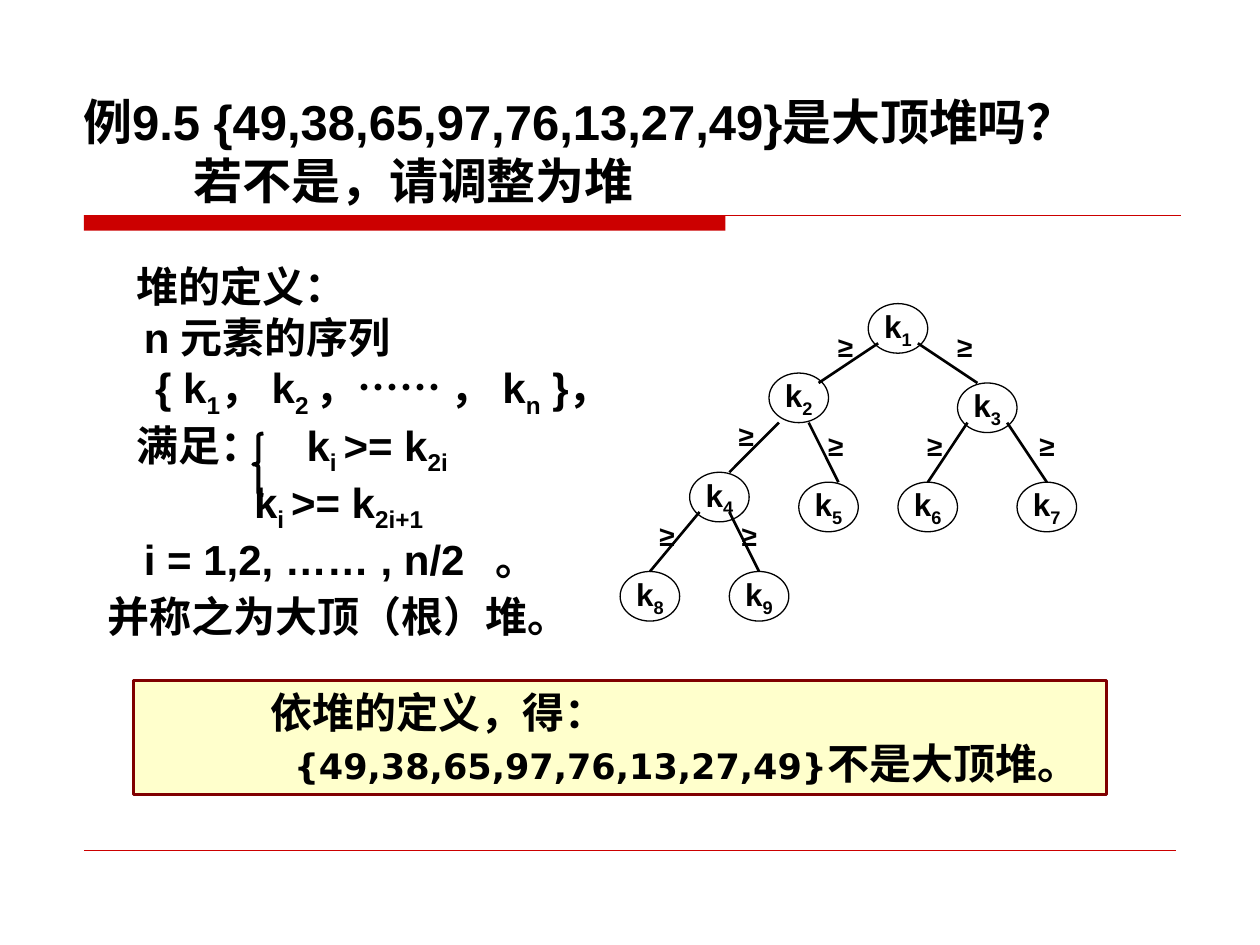
from lxml import etree
from pptx import Presentation
from pptx.dml.color import RGBColor
from pptx.enum.shapes import MSO_CONNECTOR, MSO_SHAPE
from pptx.enum.text import MSO_ANCHOR, MSO_AUTO_SIZE, PP_ALIGN
from pptx.oxml.ns import qn
from pptx.util import Pt

STRAIGHT = MSO_CONNECTOR.STRAIGHT
ELLIPSE = MSO_SHAPE.OVAL
RECTANGLE = MSO_SHAPE.RECTANGLE
LEFT_BRACE = MSO_SHAPE.LEFT_BRACE
TOP = MSO_ANCHOR.TOP
MIDDLE = MSO_ANCHOR.MIDDLE
LEFT = PP_ALIGN.LEFT
CENTER = PP_ALIGN.CENTER
NO_FIT = MSO_AUTO_SIZE.NONE

COLORS = {
    "text": "000000",
    "node": "FFFFFF",
    "accent": "CC0000",
    "answer": "FFFFCC",
    "answer_edge": "800000",
}

STEP = 5.67
TREE_LEFT, TREE_TOP = 354.4, 173.5
NODES = [(25, 0), (15, 7), (34, 8), (7, 17), (18, 18),
         (28, 18), (40, 18), (0, 27), (11, 27)]
EDGES = [
    ((26, 4), (20, 8), (20.7, 2)),
    ((30, 4), (36, 8), (32.7, 2)),
    ((16, 12), (11, 17), (10.7, 11)),
    ((19, 12), (22, 18), (19.7, 12)),
    ((35, 12), (31, 18), (29.7, 12)),
    ((39, 12), (43, 18), (41, 12)),
    ((8, 21), (3, 27), (2.7, 21)),
    ((11, 21), (14, 27), (11, 21)),
]

TITLE = [("例9.5 {49,38,65,97,76,13,27,49}是大顶堆吗？", 0),
         ("若不是，请调整为堆", 63)]
DEFINITION = [
    ("堆的定义：", 119, None),
    ("n\t元素的序列", 123, 157),
    ("{ k_1_， k_2 _，…… ， k_n_ }，", 129.5, None),
    ("满足：\tk_i _>= k_2i", 119, 206.5),
    ("k_i _>= k_2i+1", 186, None),
    ("i = 1,2, …… , n/2\t。", 123, 326.5),
    ("并称之为大顶（根）堆。", 102, None),
]


def rgb(name):
    return RGBColor.from_string(COLORS[name])


def grid(x, y):
    return TREE_LEFT + x * STEP, TREE_TOP + y * STEP


def place(shape, left, top, width, height):
    shape.left, shape.top = Pt(left), Pt(top)
    shape.width, shape.height = Pt(width), Pt(height)


def set_frame(shape, anchor=TOP, wrap=True):
    frame = shape.text_frame
    frame.auto_size = NO_FIT
    frame.word_wrap = wrap
    frame.vertical_anchor = anchor
    return frame


def format_run(run, size, font="Arial"):
    run.font.name = font
    run.font.size = Pt(size)
    run.font.bold = True
    run.font.color.rgb = rgb("text")


def write(paragraph, text, size, indent=0, tab=None, align=LEFT):
    props = paragraph._p.get_or_add_pPr()
    props.set("marL", "0")
    props.set("indent", str(Pt(indent)))
    etree.SubElement(props, qn("a:buNone"))
    if tab:
        stops = etree.SubElement(props, qn("a:tabLst"))
        etree.SubElement(stops, qn("a:tab"), pos=str(Pt(tab)), algn="l")
    paragraph.alignment = align
    paragraph.space_before = Pt(0)
    for index, part in enumerate(text.split("_")):
        if part:
            run = paragraph.add_run()
            run.text = part
            format_run(run, size)
            if index % 2:
                run._r.get_or_add_rPr().set("baseline", "-25000")


def next_paragraph(frame, index):
    return frame.add_paragraph() if index else frame.paragraphs[0]


def add_line(slide, start, end, color, weight):
    line = slide.shapes.add_connector(STRAIGHT, *map(Pt, (*start, *end)))
    line.line.color.rgb = rgb(color)
    line.line.width = Pt(weight)
    etree.SubElement(line._element.spPr, qn("a:effectLst"))


def add_figure(slide, preset, box, fill, edge, weight=0):
    figure = slide.shapes.add_shape(preset, *map(Pt, box))
    figure.shadow.inherit = False
    if fill:
        figure.fill.solid()
        figure.fill.fore_color.rgb = rgb(fill)
    else:
        figure.fill.background()
    if edge:
        figure.line.color.rgb = rgb(edge)
        figure.line.width = Pt(weight)
    else:
        figure.line.fill.background()
    return figure


def add_rules(slide):
    add_figure(slide, RECTANGLE, (48, 123, 366.5, 8.8), "accent", None)
    add_line(slide, (48, 123), (674.6, 123), "accent", 0.75)
    add_line(slide, (48, 486), (672, 486), "accent", 0.25)


def add_title(slide):
    title = slide.shapes.title
    place(title, 40.3, 49, 620, 74)
    frame = set_frame(title, MIDDLE)
    for index, (text, indent) in enumerate(TITLE):
        write(next_paragraph(frame, index), text, 28, indent)


def add_definition(slide):
    definition = slide.placeholders[1]
    place(definition, -48, 145.5, 702, 229)
    frame = set_frame(definition)
    for index, (text, indent, tab) in enumerate(DEFINITION):
        write(next_paragraph(frame, index), text, 24, indent, tab)
    frame.paragraphs[-1].space_before = Pt(3.5)
    brace = add_figure(slide, LEFT_BRACE, (144.7, 247.7, 5.8, 35.3), None, "text", 2.25)
    brace.adjustments[0] = 0.25


def add_node(slide, number, position):
    box = (*grid(*position), 6 * STEP, 5 * STEP)
    node = add_figure(slide, ELLIPSE, box, "node", "text", 0.75)
    frame = set_frame(node, MIDDLE, wrap=False)
    write(frame.paragraphs[0], f"k_{number}", 18, align=CENTER)


def add_relation(slide, position):
    left, top = grid(*position)
    relation = slide.shapes.add_textbox(Pt(left), Pt(top), Pt(23.2), Pt(26.6))
    write(set_frame(relation, wrap=False).paragraphs[0], "≥", 16)


def add_tree(slide):
    for number, position in enumerate(NODES, 1):
        add_node(slide, number, position)
    for start, end, _ in EDGES:
        add_line(slide, grid(*start), grid(*end), "text", 1.5)
    for _, _, position in EDGES:
        add_relation(slide, position)


def add_answer(slide):
    answer = add_figure(slide, RECTANGLE, (76.3, 388.8, 555.8, 65),
                        "answer", "answer_edge", 1.75)
    frame = set_frame(answer)
    write(frame.paragraphs[0], "依堆的定义，得：", 24, 71.3)
    conclusion = frame.add_paragraph()
    write(conclusion, "{49,38,65,97,76,13,27,49}", 20, 84.6)
    format_run(conclusion.runs[0], 20, "DejaVu Sans")
    verdict = conclusion.add_run()
    verdict.text = "不是大顶堆。"
    format_run(verdict, 24)


def main():
    deck = Presentation()
    deck.slide_width, deck.slide_height = Pt(720), Pt(540)
    slide = deck.slides.add_slide(deck.slide_layouts[1])
    add_rules(slide)
    add_title(slide)
    add_definition(slide)
    add_tree(slide)
    add_answer(slide)
    deck.save("out.pptx")


if __name__ == "__main__":
    main()
